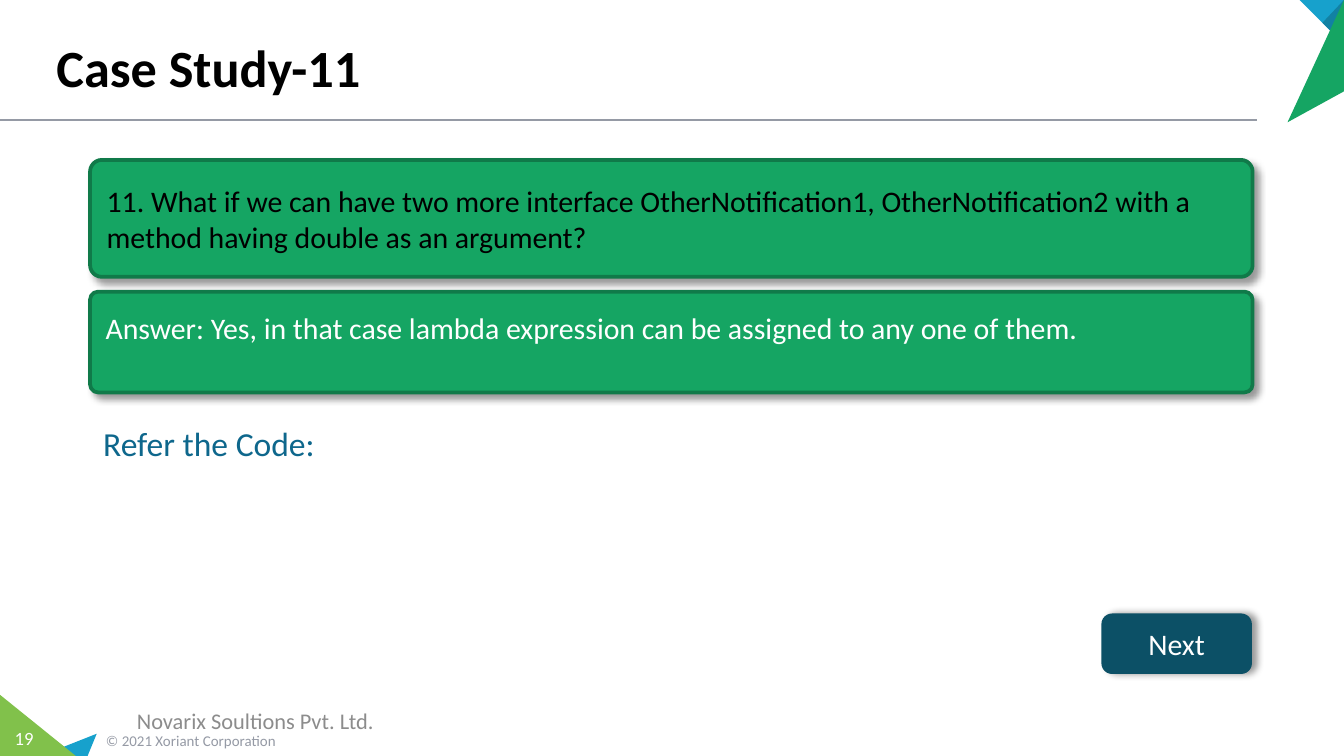
from lxml import etree
from pptx import Presentation
from pptx import util as u
from pptx.dml.color import RGBColor
from pptx.enum import shapes, text
from pptx.oxml import ns


def paint(fill, colour):
    fill.solid()
    fill.fore_color.rgb = RGBColor.from_string(colour)


def write(shape, words, size, colour, align="LEFT", anchor="MIDDLE", bold=False):
    frame = shape.text_frame
    frame.word_wrap = True
    frame.vertical_anchor = text.MSO_ANCHOR[anchor]
    para = frame.paragraphs[0]
    para.alignment = text.PP_ALIGN[align]
    span = para.add_run()
    span.text = words
    span.font.name = "Calibri"
    span.font.size = u.Pt(size)
    span.font.bold = bold
    paint(span.font.fill, colour)
    return frame


deck = Presentation()
deck.slide_width = u.Inches(10)
deck.slide_height = u.Inches(10) * 9 // 16
page = deck.slides.add_slide(deck.slide_layouts[5])

rule = page.shapes.add_connector(
    shapes.MSO_CONNECTOR.STRAIGHT, 0, u.Inches(0.89), u.Inches(9.35), u.Inches(0.89))
paint(rule.line.fill, "959AA5")
rule.line.width = u.Pt(1)
etree.SubElement(rule._element.spPr, ns.qn("a:effectLst"))

triangles = [
    ("17A1CC", [(0.72, 5.46), (0.65, 5.63), (0.29, 5.63)]),
    ("81C14B", [(0, 5.17), (0.57, 5.63), (0, 5.63)]),
    ("17A1CC", [(9.67, 0), (10, 0), (10, 0.33)]),
    ("1281A3", [(9.84, 0.17), (10, 0), (10, 0.33)]),
    ("15A563", [(9.58, 0.91), (10, 0), (10, 0.68)]),
]
for colour, corners in triangles:
    points = [(u.Inches(x), u.Inches(y)) for x, y in corners]
    builder = page.shapes.build_freeform(*points[0])
    builder.add_line_segments(points[1:], close=True)
    triangle = builder.convert_to_shape()
    paint(triangle.fill, colour)
    triangle.line.fill.background()
    triangle.shadow.inherit = False

title = page.shapes.title
title.left, title.top = u.Inches(0.32), u.Inches(0.06)
title.width, title.height = u.Inches(9), u.Inches(0.72)
write(title, "Case Study-11", 28, "000000", anchor="BOTTOM", bold=True)

labels = [
    ((0.69, 5.39, 2.33, 0.24), "© 2021 Xoriant Corporation", 8, "959AA5", "LEFT", "MIDDLE", 0.1),
    ((0, 5.36, 0.36, 0.27), "19", 10, "FFFFFF", "CENTER", "TOP", 0),
    ((0, 5.21, 3.8, 0.3), "Novarix Soultions Pvt. Ltd.", 12, "8C8C8C", "CENTER", "MIDDLE", 0.1),
    ((0.67, 3.1, 5, 0.4), "Refer the Code:", 18, "0E678C", "LEFT", "TOP", 0.1),
]
for place, words, size, colour, align, anchor, margin in labels:
    box = page.shapes.add_textbox(*map(u.Inches, place))
    frame = write(box, words, size, colour, align, anchor)
    frame.margin_left = frame.margin_right = u.Inches(margin)

question = ("11. What if we can have two more interface OtherNotification1, "
            "OtherNotification2 with a method having double as an argument?")
answer = "Answer: Yes, in that case lambda expression can be assigned to any one of them."
cards = [
    ((0.67, 1.19, 8.65, 0.87), 0.1, "15A563", "107A49", 2, 45,
     question, "000000", "LEFT", "MIDDLE", 0.05),
    ((0.67, 2.17, 8.65, 0.75), 0.08, "15A563", "107A49", 2, 45,
     answer, "FFFFFF", "LEFT", "TOP", 0.12),
    ((8.2, 4.57, 1.11, 0.44), 0.17, "0C5066", "0C5066", 0.75, 0,
     "Next", "FFFFFF", "CENTER", "MIDDLE", 0.05),
]
for place, corner, fill, edge, width, angle, words, colour, align, anchor, top in cards:
    card = page.shapes.add_shape(
        shapes.MSO_SHAPE.ROUNDED_RECTANGLE, *map(u.Inches, place))
    card.adjustments[0] = corner
    paint(card.fill, fill)
    paint(card.line.fill, edge)
    card.line.width = u.Pt(width)
    card.shadow.inherit = False
    effects = card._element.spPr.find(ns.qn("a:effectLst"))
    shadow = etree.SubElement(
        effects, ns.qn("a:outerShdw"), blurRad=str(u.Pt(4)), dist=str(u.Pt(3)),
        dir=str(angle * 60000), algn="tl", rotWithShape="0")
    black = etree.SubElement(shadow, ns.qn("a:srgbClr"), val="000000")
    etree.SubElement(black, ns.qn("a:alpha"), val="40000")
    frame = write(card, words, 16, colour, align, anchor)
    frame.margin_top = u.Inches(top)

deck.save("out.pptx")
